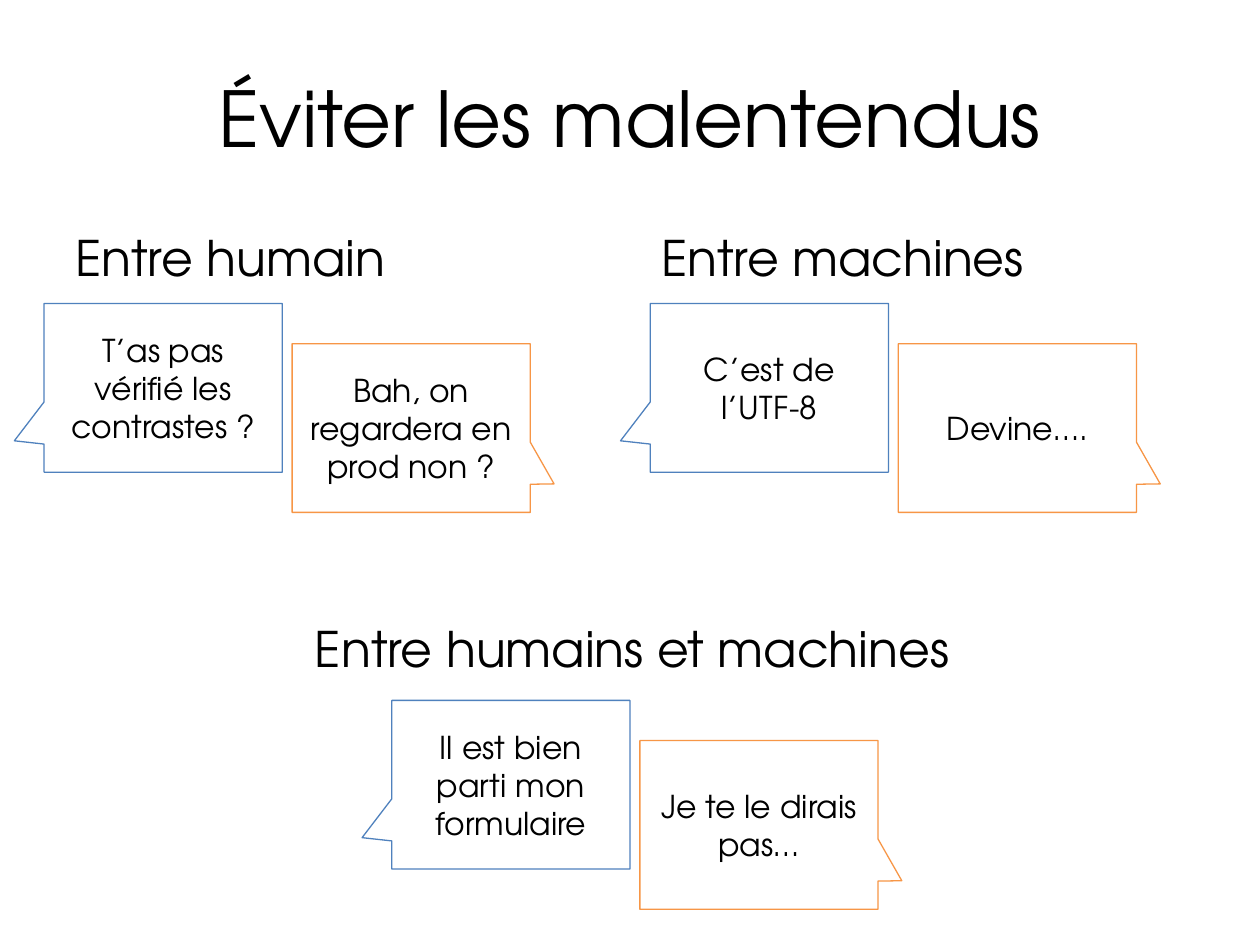
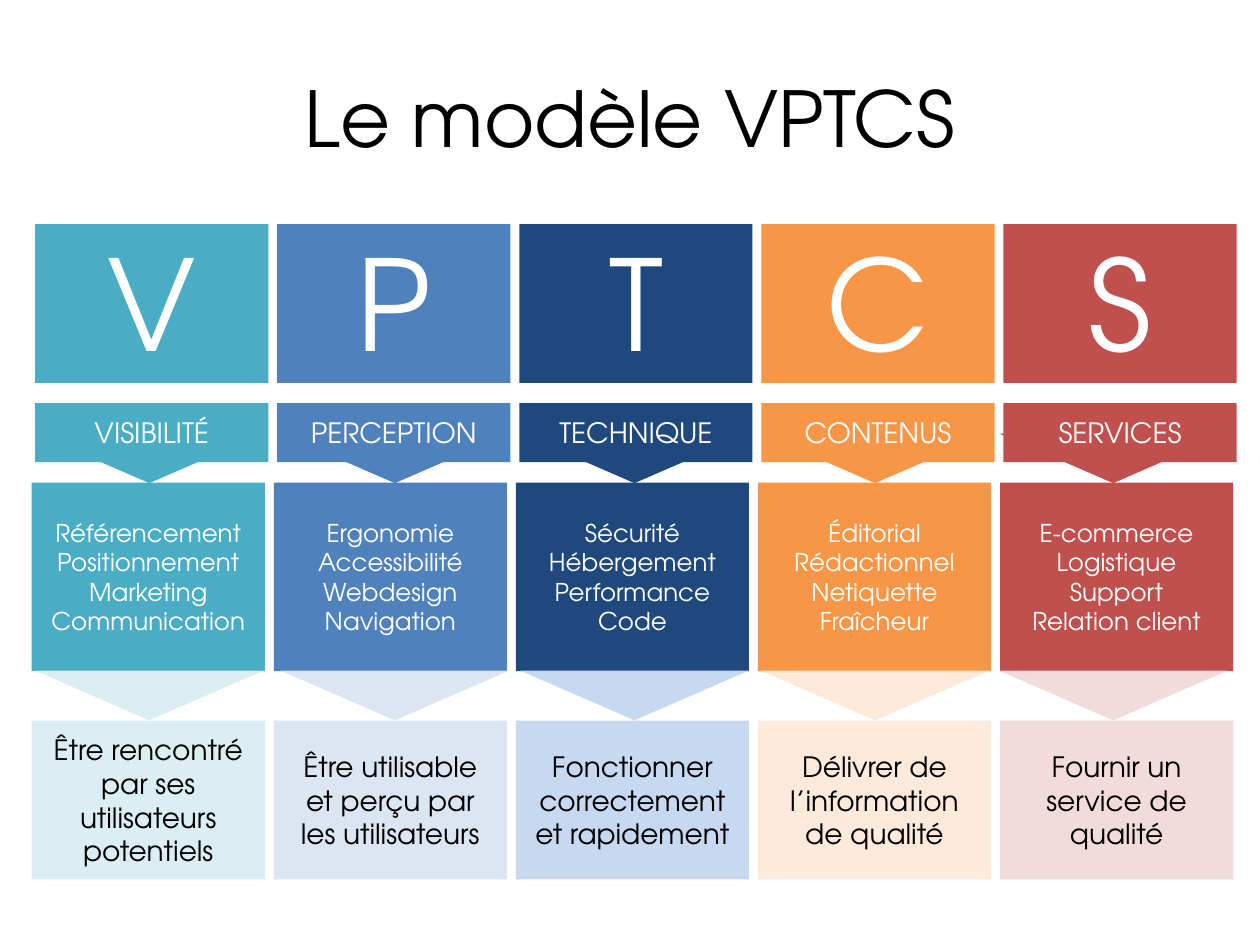
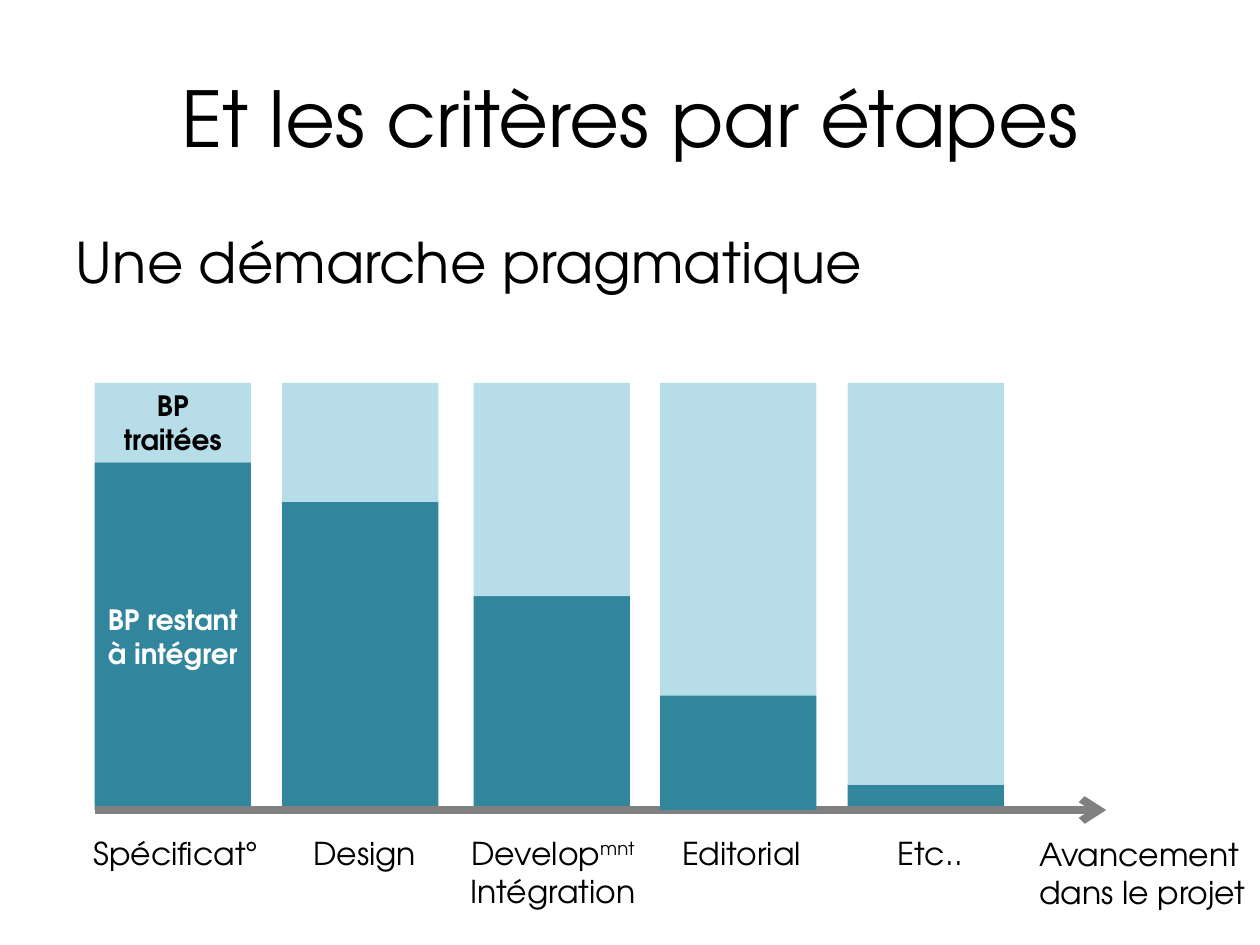
from lxml import etree
from pptx import Presentation
from pptx import util as u
from pptx.dml.color import RGBColor
from pptx.enum import shapes, text
from pptx.oxml.ns import qn

FONT = "TeX Gyre Adventor"
BLACK, WHITE, GREY = "000000", "FFFFFF", "808080"
BLUE, ORANGE = "4F81BD", "F79646"
DARK_TEAL, PALE_TEAL = "31859C", "B7DEE8"
MIDDLE, BOTTOM, TOP = (text.MSO_ANCHOR.MIDDLE, text.MSO_ANCHOR.BOTTOM,
                       text.MSO_ANCHOR.TOP)
CENTER, LEFT = text.PP_ALIGN.CENTER, text.PP_ALIGN.LEFT
SHAPE = shapes.MSO_SHAPE


def colour(code):
    return RGBColor.from_string(code)


class SlideMaker:
    """Holds the shared style and the slide being drawn."""

    def __init__(self):
        self.deck = Presentation()
        self.deck.slide_width, self.deck.slide_height = u.Cm(25.4), u.Cm(19.05)
        self.page = None

    def new_page(self, title):
        self.page = self.deck.slides.add_slide(self.deck.slide_layouts[5])
        box = self.page.shapes.title
        place = {"left": 1.27, "top": 0.76, "width": 22.86, "height": 3.18}
        for name, value in place.items():
            setattr(box, name, u.Cm(value))
        self.fill_text(box, [title], size=44)

    def fill_text(self, box, paragraphs, size=18, ink=BLACK, bold=False,
                  anchor=MIDDLE, align=CENTER, inset=(0.25, 0.13)):
        """Each paragraph is a string or a list of (words, baseline) pairs."""
        frame = box.text_frame
        side, edge = (u.Cm(value) for value in inset)
        layout = {"word_wrap": True, "auto_size": text.MSO_AUTO_SIZE.NONE,
                  "vertical_anchor": anchor, "margin_left": side,
                  "margin_right": side, "margin_top": edge,
                  "margin_bottom": edge}
        for name, value in layout.items():
            setattr(frame, name, value)
        style = {"name": FONT, "size": u.Pt(size), "bold": bold}
        for number, content in enumerate(paragraphs):
            para = frame.add_paragraph() if number else frame.paragraphs[0]
            para.alignment = align
            spans = [(content, 0)] if isinstance(content, str) else content
            for words, baseline in spans:
                span = para.add_run()
                span.text = words
                for name, value in style.items():
                    setattr(span.font, name, value)
                span.font.color.rgb = colour(ink)
                if baseline:
                    span.font._element.set("baseline", str(baseline * 1000))

    def label(self, place, paragraphs, **style):
        box = self.page.shapes.add_textbox(*map(u.Cm, place))
        self.fill_text(box, paragraphs, **{"anchor": TOP, **style})

    def shape(self, kind, place, fill, line=None, paragraphs=(), **style):
        box = self.page.shapes.add_shape(kind, *map(u.Cm, place))
        box.shadow.inherit = False
        box.fill.solid()
        box.fill.fore_color.rgb = colour(fill)
        if line:
            box.line.color.rgb = colour(line)
            box.line.width = u.Pt(0.75)
        else:
            box.line.fill.background()
        if paragraphs:
            self.fill_text(box, paragraphs, **style)
        return box

    def callout(self, left, top, line, words, tip):
        box = self.shape(SHAPE.RECTANGULAR_CALLOUT, (left, top, 4.8, 3.4),
                         WHITE, line, [words])
        box.adjustments[0], box.adjustments[1] = tip

    def down_triangle(self, left, top, fill):
        box = self.shape(SHAPE.ISOSCELES_TRIANGLE, (left, top, 4.6, 1), fill)
        box.rotation = 180

    def arrow(self, start, end, line, width):
        link = self.page.shapes.add_connector(
            shapes.MSO_CONNECTOR.STRAIGHT, *map(u.Cm, start + end))
        link.line.color.rgb = colour(line)
        link.line.width = u.Pt(width)
        outline = link._element.spPr.find(qn("a:ln"))
        etree.SubElement(outline, qn("a:tailEnd"), type="arrow")
        etree.SubElement(link._element.spPr, qn("a:effectLst"))


def misunderstandings(maker):
    maker.new_page("Éviter les malentendus")
    # Heading place, first callout corner, question and answer
    dialogues = [
        ("Entre humain", (1.27, 4.45, 10.64, 1.6), (0.89, 6.12),
         "T’as pas vérifié les contrastes ?", "Bah, on regardera en prod non ?"),
        ("Entre machines", (13.08, 4.45, 10.64, 1.6), (13.11, 6.12),
         "C’est de l’UTF-8", "Devine…."),
        ("Entre humains et machines", (6.1, 12.34, 13.6, 1.6), (7.9, 14.12),
         "Il est bien parti mon formulaire", "Je te le dirais pas…"),
    ]
    for heading, place, (left, top), question, answer in dialogues:
        maker.label(place, [heading], size=28, align=LEFT)
        maker.callout(left, top, BLUE, question, (-0.625, 0.314))
        maker.callout(left + 5, top + 0.81, ORANGE, answer, (0.6, 0.331))


def vptcs_model(maker):
    maker.new_page("Le modèle VPTCS")
    # Name, strong colour, pale colour, triangle left, topics, goal
    columns = [
        ("VISIBILITÉ", "4BACC6", "DBEEF4", 0.71,
         ["Référencement", "Positionnement", "Marketing", "Communication"],
         "Être rencontré par ses utilisateurs potentiels"),
        ("PERCEPTION", BLUE, "DCE6F2", 5.66,
         ["Ergonomie", "Accessibilité", "Webdesign", "Navigation"],
         "Être utilisable et perçu par les utilisateurs"),
        ("TECHNIQUE", "1F497D", "C6D9F1", 10.49,
         ["Sécurité", "Hébergement", "Performance", "Code"],
         "Fonctionner correctement et rapidement"),
        ("CONTENUS", ORANGE, "FDEADA", 15.34,
         ["Éditorial", "Rédactionnel", "Netiquette", "Fraîcheur"],
         "Délivrer de l’information de qualité"),
        ("SERVICES", "C0504D", "F2DCDB", 20.14,
         ["E-commerce", "Logistique", "Support", "Relation client"],
         "Fournir un service de qualité"),
    ]
    pitch, width = 4.88, 4.7
    for number, (name, strong, pale, tip, topics, goal) in enumerate(columns):
        upper = 0.71 + number * pitch
        lower = 0.64 + number * pitch
        # Letter, name and topics
        maker.down_triangle(tip, 8.74, strong)
        maker.shape(SHAPE.RECTANGLE, (upper, 4.52, width, 3.2), strong,
                    paragraphs=[name[0]], size=72, ink=WHITE, anchor=BOTTOM)
        maker.shape(SHAPE.RECTANGLE, (upper, 8.13, width, 1.19), strong,
                    paragraphs=[name], size=16, ink=WHITE)
        maker.shape(SHAPE.RECTANGLE, (lower, 9.73, width, 3.8), strong,
                    paragraphs=topics, size=14, ink=WHITE)
        # Goal
        maker.down_triangle(tip, 13.52, pale)
        maker.shape(SHAPE.RECTANGLE, (lower, 14.53, width, 3.2), pale,
                    paragraphs=[goal], size=16)


def criteria_by_stage(maker):
    maker.new_page("Et les critères par étapes")
    maker.label((1.27, 4.45, 22.86, 1.68), ["Une démarche pragmatique"],
                size=32, align=LEFT)
    top, axis, width = 7.72, 16.33, 3.15

    def bar(left, treated, treated_text=(), remaining_text=()):
        style = {"size": 16, "bold": True, "inset": (0.23, 0.13)}
        maker.shape(SHAPE.RECTANGLE, (left, top + treated, width,
                                      axis - top - treated),
                    DARK_TEAL, paragraphs=remaining_text, ink=WHITE, **style)
        maker.shape(SHAPE.RECTANGLE, (left, top, width, treated), PALE_TEAL,
                    paragraphs=treated_text, **style)

    # Bars: the editorial one stands in front of the axis
    bar(1.91, 1.6, ["BP traitées"], ["BP restant à intégrer"])
    for left, treated in [(5.69, 2.4), (9.55, 4.3), (17.09, 8.1)]:
        bar(left, treated)
    maker.arrow((1.91, axis), (22.3, axis), GREY, 4.5)
    bar(13.31, 6.3)

    # Stage names
    stages = ["Spécificat°", "Design",
              [("Develop", 0), ("mnt", 30), (" Intégration", 0)],
              "Editorial", "Etc.."]
    for number, stage in enumerate(stages):
        maker.label((1.8 + number * 3.8, 16.71, 3.5, 1), [stage],
                    inset=(0, 0.1))
    maker.label((20.7, 16.71, 5, 1.8), ["Avancement dans le projet"],
                align=LEFT)


def main():
    maker = SlideMaker()
    misunderstandings(maker)
    vptcs_model(maker)
    criteria_by_stage(maker)
    maker.deck.save("out.pptx")


if __name__ == "__main__":
    main()
